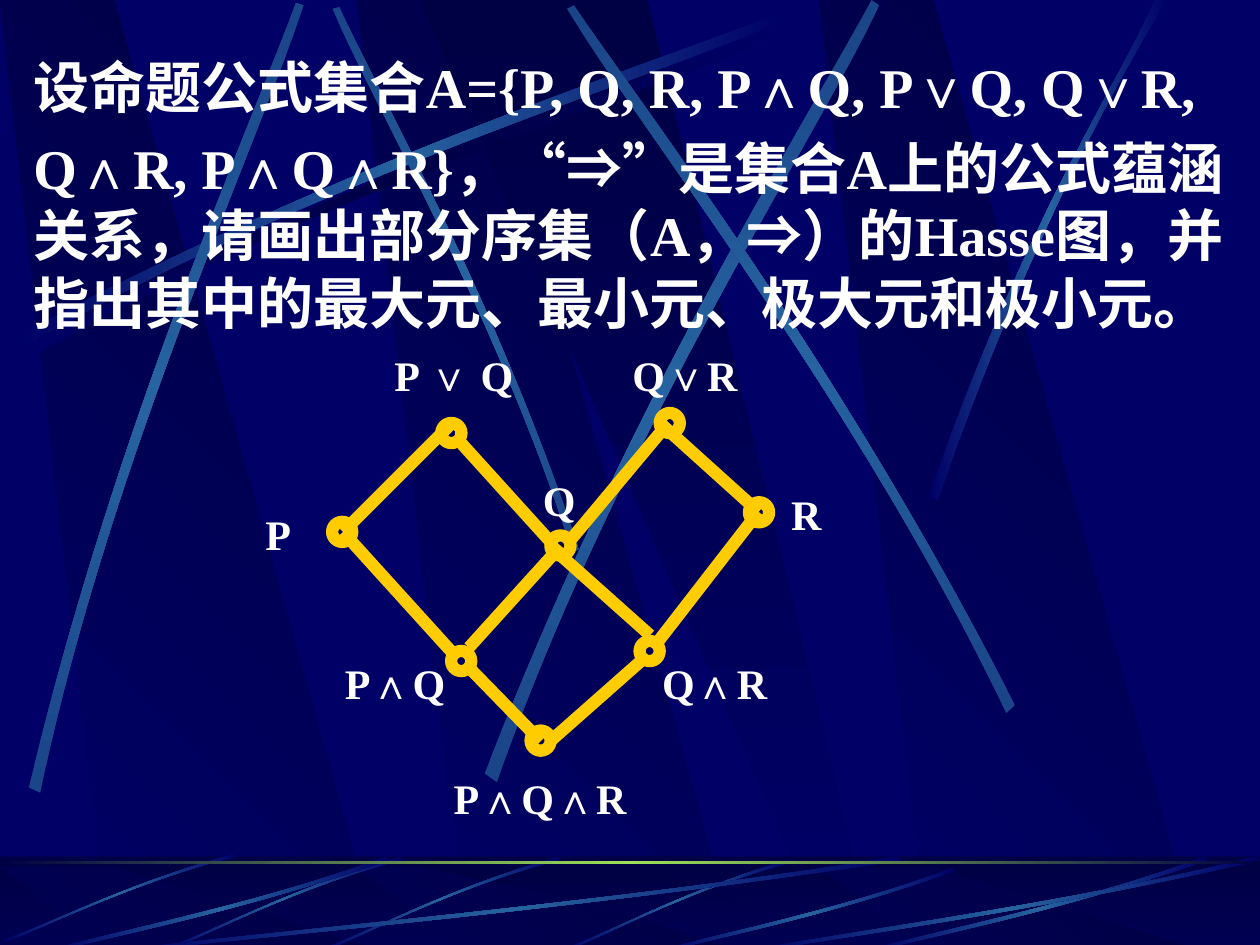
from copy import deepcopy

from lxml import etree
from pptx import Presentation
from pptx.dml.color import RGBColor
from pptx.enum.shapes import MSO_CONNECTOR, MSO_SHAPE
from pptx.oxml.ns import qn
from pptx.util import Pt

OVAL, RECT, STRAIGHT = MSO_SHAPE.OVAL, MSO_SHAPE.RECTANGLE, MSO_CONNECTOR.STRAIGHT

NAVY = RGBColor(0x00, 0x00, 0x66)
DARK = RGBColor(0x00, 0x00, 0x44)
TEAL = RGBColor(0x26, 0x63, 0xA0)
DIM_TEAL = RGBColor(0x1A, 0x45, 0x88)
GREEN = RGBColor(0x9C, 0xE1, 0x57)
GOLD = RGBColor(0xFF, 0xCC, 0x00)
WHITE = RGBColor(0xFF, 0xFF, 0xFF)
SERIF, SANS = "Times New Roman", "Arial"

# Question: paragraphs of (text, font) runs
QUESTION = [
    [("设命题公式集合A={P, Q, R, P∧Q, P∨Q, Q∨R,", SERIF)],
    [("Q∧R, P∧Q∧R}，“", SERIF), ("⇒", SANS),
     ("”是集合A上的公式蕴涵关系，请画出部分序集（A，", SERIF), ("⇒", SANS),
     ("）的Hasse图，并指出其中的最大元、最小元、极大元和极小元。", SERIF)],
]

# Hasse diagram: formula, ring (left, top), label (left, top, width)
RING = 11.5
FORMULAS = [
    ("P∧Q∧R", (303.2, 417.5), (252.2, 438, 114)),
    ("P∧Q", (257.8, 372), (190, 372, 73.5)),
    ("Q∧R", (365.5, 366.3), (371.3, 372, 90.5)),
    ("R", (428, 287), (445, 275.5, 39.5)),
    ("Q", (314.5, 306), (303.2, 267.5, 39.5)),
    ("P", (189.8, 298.2), (144.5, 287, 39.5)),
    ("P ∨ Q", (252.2, 241.7), (218.2, 196, 85)),
    ("Q∨R", (377, 236), (354.3, 196, 90.5)),
]
EDGES = [
    (268, 370, 320.5, 312), (371.5, 363, 320.5, 317.5),
    (309, 423.5, 269.5, 383), (314.5, 423.5, 366, 378),
    (314.5, 309.5, 262, 251.5), (259, 373.5, 196, 304),
    (196, 304, 258, 242), (324, 311, 377.5, 247),
    (375, 368, 433.5, 292.5), (433.5, 292.5, 377.5, 242),
]

# Backdrop: outlines in fractions of their box (or in points for long streaks)
SLANT = [(0.285, 1), (1, 1), (0.3, 0), (0, 0)]
WEDGE = [(0, 0), (0.9, 1), (1, 1), (0.5, 0)]
BAND_LEFTS = (204, 0, 468)
FLOOR_TOP = 489.5
# Each streak is two cubic curves: out along one edge, back along the other
RISING = [(0, 185), (190, 83), (363, 30), (436, 0),
          (438, 4.5), (366, 37), (167, 96), (2, 192)]
STREAKS = [
    [(331, 314), (282, 168), (217, 55), (194, 4),
     (190, 5), (212, 57), (287, 186), (327, 316)],
    [(16.5, 450), (67, 240), (142, 76), (169, 1.5),
     (173.5, 3), (149, 78), (62, 265), (23, 453)],
    [(277, 442), (359, 230), (459, 73), (498, 0),
     (502.5, 3), (467, 78), (350, 256), (284, 447)],
    [(580, 403), (482, 211), (372, 68), (328, 3),
     (324, 5), (365, 73), (493, 234), (575, 407.5)],
]
FADING_STREAK = [(531, 283), (586, 125), (639, 48), (660, 0),
                 (667, 0), (602, 104), (554, 232), (536, 286)]
SWEEP = [(1, 0.04), (0.57, 0.57), (0.17, 0.85), (0.01, 1),
         (0, 0.98), (0.16, 0.81), (0.62, 0.5), (0.99, 0)]
SWEEP_BOXES = [(72, 489.5, 444, 54), (30, 489.5, 192, 54), (379.5, 496, 166, 47.5),
               (498, 489.5, 192, 54), (432, 489.5, 288, 54)]
ARC = [(1, 0), (0.53, 0.33), (0.17, 0.84), (0, 0.97),
       (0.01, 1), (0.17, 0.84), (0.58, 0.3), (1, 0.04)]
ARC_BOXES = [(322.5, 491, 129.5, 52.5), (184, 489.5, 135.5, 54),
             (94, 489.5, 135.5, 54), (1.5, 487.5, 134, 51)]


def fit(points, box):
    left, top, width, height = box
    return [(left + x * width, top + y * height) for x, y in points]


def shade(shape, colours, angle=0):
    """Evenly spaced gradient; angle runs clockwise from left to right."""
    shape.shadow.inherit = False
    shape.line.fill.background()
    shape.fill.gradient()
    shape.fill.gradient_angle = -angle % 360
    stop_list = shape._element.spPr.find(".//" + qn("a:gsLst"))
    for _ in colours[2:]:
        stop_list.append(deepcopy(stop_list[0]))
    for i, (stop, colour) in enumerate(zip(shape.fill.gradient_stops, colours)):
        stop.color.rgb = colour
        stop.position = i / (len(colours) - 1)


def add_outline(shapes, points, colours, angle=0):
    corners = [(Pt(x), Pt(y)) for x, y in points]
    builder = shapes.build_freeform(*corners[0], scale=1.0)
    builder.add_line_segments(corners[1:], close=True)
    shape = builder.convert_to_shape()
    shade(shape, colours, angle)
    return shape


def add_streak(shapes, controls, colours, angle=0):
    """Outline whose segments 1-3 and 5-7 become two cubic curves."""
    shape = add_outline(shapes, controls, colours, angle)
    segments = shape._element.spPr.findall(".//" + qn("a:lnTo"))
    for trio in (segments[0:3], segments[4:7]):
        curve = etree.Element(qn("a:cubicBezTo"))
        trio[0].addprevious(curve)
        for segment in trio:
            curve.append(segment[0])
            segment.getparent().remove(segment)


def add_panel(shapes, top, height):
    return shapes.add_shape(RECT, 0, Pt(top), Pt(720), Pt(height))


def add_beams(shapes, top, height):
    for left in BAND_LEFTS:
        add_outline(shapes, fit(SLANT, (left, top, 217.5, height)), (NAVY, DARK), 315)
    add_outline(shapes, fit(WEDGE, (240, top, 260, height)), (DARK, NAVY), 90)


def draw_backdrop(shapes):
    glow = (NAVY, TEAL, NAVY)
    add_beams(shapes, 0, 541)
    for left, top, colours in ((14.5, 13, (NAVY, DARK, NAVY)), (10, 7, glow)):
        add_streak(shapes, fit(RISING, (left, top, 1, 1)), colours)
    for controls in STREAKS:
        add_streak(shapes, controls, (DIM_TEAL, TEAL, DIM_TEAL), 90)
    add_streak(shapes, FADING_STREAK, glow)

    # Floor strip
    shade(add_panel(shapes, FLOOR_TOP, 54), (DARK, NAVY), 90)
    add_beams(shapes, 495.5, 47.5)
    veil = add_panel(shapes, 489, 54)
    veil.shadow.inherit = False
    veil.line.fill.background()
    veil.fill.solid()
    veil.fill.fore_color.rgb = DARK
    colour = veil._element.spPr.find(".//" + qn("a:srgbClr"))
    etree.SubElement(colour, qn("a:alpha")).set("val", "50000")
    for controls, boxes in ((ARC, ARC_BOXES), (SWEEP, SWEEP_BOXES)):
        for box in boxes:
            add_streak(shapes, fit(controls, box), glow)
    shade(add_panel(shapes, 492.3, 1.75), (DARK, GREEN, DARK))


def add_text(shapes, box, paragraphs, size, space_before=0):
    frame = shapes.add_textbox(*map(Pt, box)).text_frame
    frame.word_wrap = True
    for i, runs in enumerate(paragraphs):
        paragraph = frame.add_paragraph() if i else frame.paragraphs[0]
        # Keep closing punctuation inside the right margin
        paragraph._p.get_or_add_pPr().set("hangingPunct", "0")
        if i:
            paragraph.space_before = Pt(space_before)
        for text, font_name in runs:
            run = paragraph.add_run()
            run.text = text
            font_format = {"name": font_name, "size": Pt(size), "bold": True}
            for attribute, value in font_format.items():
                setattr(run.font, attribute, value)
            run.font.color.rgb = WHITE


def gild(line):
    line.color.rgb = GOLD
    line.width = Pt(7)


def draw_hasse(shapes):
    for edge in EDGES:
        connector = shapes.add_connector(STRAIGHT, *map(Pt, edge))
        gild(connector.line)
        etree.SubElement(connector._element.spPr, qn("a:effectLst"))
    for formula, ring_at, (left, top, width) in FORMULAS:
        ring = shapes.add_shape(OVAL, *map(Pt, (*ring_at, RING, RING)))
        ring.shadow.inherit = False
        ring.fill.background()
        gild(ring.line)
        add_text(shapes, (left, top, width, 36), [[(formula, SERIF)]], 24)


def main():
    deck = Presentation()
    deck.slide_width, deck.slide_height = Pt(720), Pt(540)
    slide, master = deck.slides.add_slide(deck.slide_layouts[6]), deck.slide_master
    master.background.fill.solid()
    master.background.fill.fore_color.rgb = NAVY
    # The backdrop belongs to the master, behind its placeholders
    backdrop = slide.shapes.add_group_shape()
    draw_backdrop(backdrop.shapes)
    master.shapes._spTree.insert(2, backdrop._element)
    add_text(slide.shapes, (12, 26.4, 696, 514), QUESTION, 32, space_before=8)
    draw_hasse(slide.shapes.add_group_shape().shapes)
    deck.save("out.pptx")


if __name__ == "__main__":
    main()
